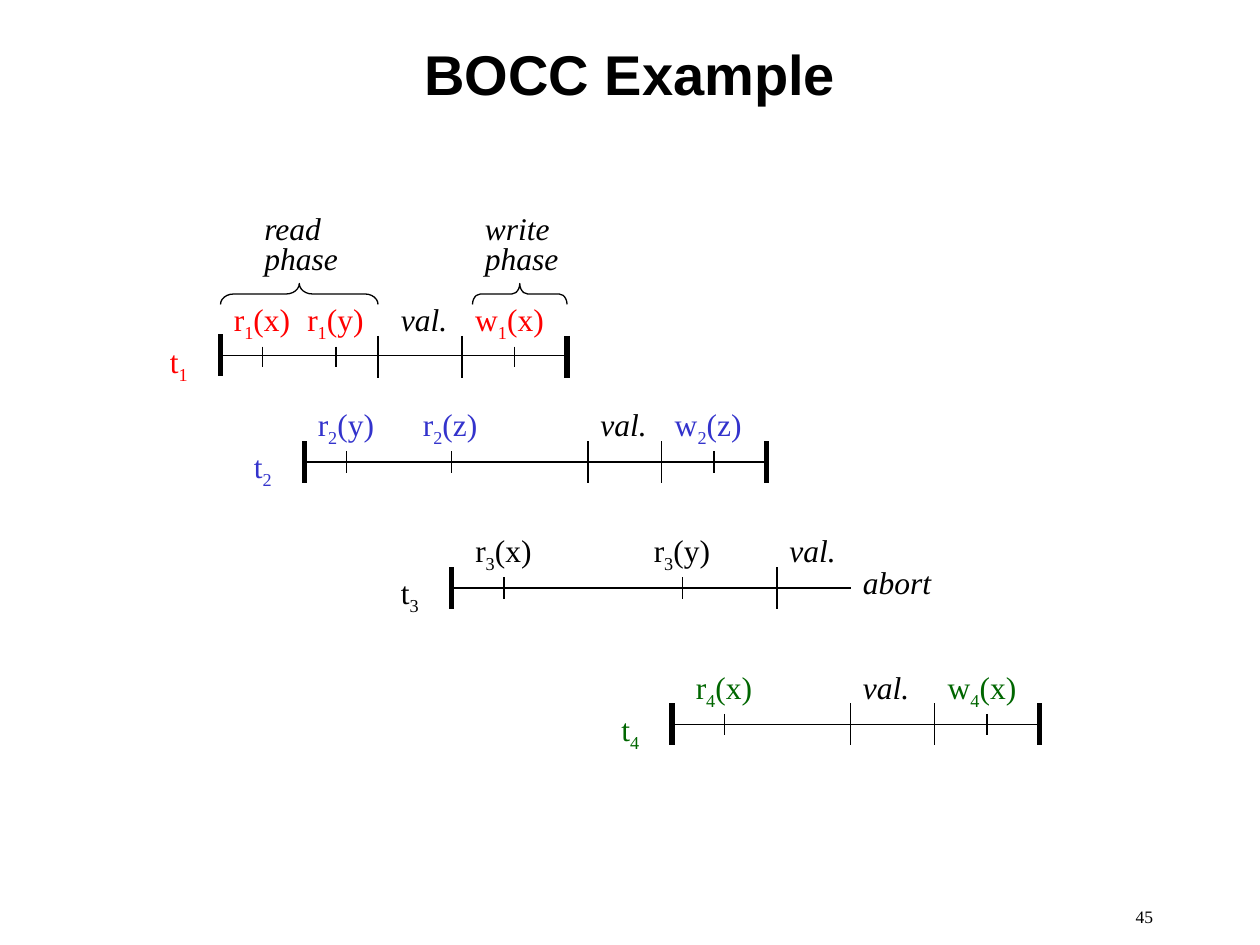
import dataclasses

import pptx
import pptx.dml.color
import pptx.enum.shapes
import pptx.enum.text
import pptx.oxml
import pptx.oxml.ns
import pptx.util

Pt = pptx.util.Pt
ALIGN = pptx.enum.text.PP_ALIGN
ANCHOR = pptx.enum.text.MSO_ANCHOR
AUTO_SIZE = pptx.enum.text.MSO_AUTO_SIZE


@dataclasses.dataclass(frozen=True)
class Theme:
    heading_font: str = "Arial"
    body_font: str = "Times New Roman"
    heading_size: float = 32
    body_size: float = 18
    number_size: float = 10
    thin: float = 0.75
    thick: float = 3
    black: str = "000000"
    red: str = "FF0000"
    blue: str = "3333CC"
    green: str = "006600"


def rgb(code):
    return pptx.dml.color.RGBColor.from_string(code)


def apply(target, values):
    for name, value in values.items():
        setattr(target, name, value)


class ScheduleSlide:
    """Draws transaction schedules on one slide in a single theme."""

    def __init__(self, slide, theme):
        self.slide = slide
        self.theme = theme

    def text(self, left, top, width, height, lines, color=None, frame=None, paragraph=None, font=None):
        box = self.slide.shapes.add_textbox(Pt(left), Pt(top), Pt(width), Pt(height))
        apply(box.text_frame, {"word_wrap": True, "auto_size": AUTO_SIZE.NONE, **(frame or {})})
        style = {"name": self.theme.body_font, "size": Pt(self.theme.body_size), **(font or {})}
        for index, line in enumerate(lines):
            row = box.text_frame.add_paragraph() if index else box.text_frame.paragraphs[0]
            apply(row, paragraph or {})
            for position, part in enumerate(line.split("_")):
                run = row.add_run()
                run.text = part
                apply(run.font, style)
                run.font.color.rgb = rgb(color or self.theme.black)
                if position % 2:
                    run.font._element.set("baseline", "-25000")

    def line(self, x1, y1, x2, y2, weight):
        connector = self.slide.shapes.add_connector(
            pptx.enum.shapes.MSO_CONNECTOR.STRAIGHT, Pt(x1), Pt(y1), Pt(x2), Pt(y2))
        connector.line.color.rgb = rgb(self.theme.black)
        connector.line.width = Pt(weight)
        properties = connector._element.spPr
        properties.append(properties.makeelement(pptx.oxml.ns.qn("a:effectLst"), {}))

    def mark(self, x, middle, half, weight):
        self.line(x, middle - half, x, middle + half, weight)

    def brace(self, start, end, top, depth=12):
        length = end - start
        center_x, center_y = (start + end) / 2, top + depth / 2
        brace = self.slide.shapes.add_shape(
            pptx.enum.shapes.MSO_SHAPE.LEFT_BRACE, Pt(center_x - depth / 2),
            Pt(center_y - length / 2), Pt(depth), Pt(length))
        brace.rotation = 90
        brace.adjustments[0] = length / 12 / depth
        brace.shadow.inherit = False
        brace.fill.background()
        brace.line.color.rgb = rgb(self.theme.black)
        brace.line.width = Pt(self.theme.thin)

    def remark(self, left, top, width, height, lines, spacing):
        self.text(left, top, width, height, lines,
                  paragraph={"line_spacing": spacing}, font={"italic": True})

    def transaction(self, number, color, middle, axis, start, stop, phases, validation, operations, commits):
        thin, thick = self.theme.thin, self.theme.thick
        self.line(start, axis, stop, axis, thin)
        self.mark(start, axis, 12, thick)
        for boundary in phases:
            self.mark(boundary, middle, 12, thin)
        if commits:
            self.mark(stop, middle, 12, thick)
        self.text(start - 36, middle - 12, 25, 32, [f"t_{number}"], color)
        for x, action, item in operations:
            self.mark(x, middle, 6, thin)
            offset, width = (29.5, 53) if action == "w" else (23.5, 46)
            self.text(x - offset, middle - 36, width, 32,
                      [f"{action}_{number}_({item})"], color, frame={"word_wrap": False})
        self.remark(validation, middle - 30, 48, 22, ["val."], 0.7)


def main():
    deck = pptx.Presentation()
    apply(deck, {"slide_width": Pt(720), "slide_height": Pt(540)})
    theme = Theme()
    schedule = ScheduleSlide(deck.slides.add_slide(deck.slide_layouts[6]), theme)

    schedule.text(54, 24, 612, 36, ["BOCC Example"],
                  frame={"vertical_anchor": ANCHOR.MIDDLE}, paragraph={"alignment": ALIGN.CENTER},
                  font={"name": theme.heading_font, "size": Pt(theme.heading_size), "bold": True})

    transactions = [
        (1, theme.red, 204, 203, 126, 324, [216, 264], 222,
         [(150, "r", "x"), (192, "r", "y"), (294, "w", "x")], True),
        (2, theme.blue, 264, 264, 174, 438, [336, 378], 336,
         [(198, "r", "y"), (258, "r", "z"), (408, "w", "z")], True),
        (3, theme.black, 336, 336, 258, 486, [444], 444,
         [(288, "r", "x"), (390, "r", "y")], False),
        (4, theme.green, 414, 414, 384, 594, [486, 534], 486,
         [(414, "r", "x"), (564, "w", "x")], True),
    ]
    for transaction in transactions:
        schedule.transaction(*transaction)

    for phase, start, end, label_left in [("read", 126, 216, 144), ("write", 270, 324, 270)]:
        schedule.brace(start, end, 162)
        schedule.remark(label_left, 120, 70, 42, [phase, "phase"], 0.8)
    schedule.remark(486, 318, 54, 29, ["abort"], 1.0)

    schedule.text(516, 514, 150, 26, ["45"], paragraph={"alignment": ALIGN.RIGHT},
                  font={"size": Pt(theme.number_size)})
    deck.save("out.pptx")


if __name__ == "__main__":
    main()
